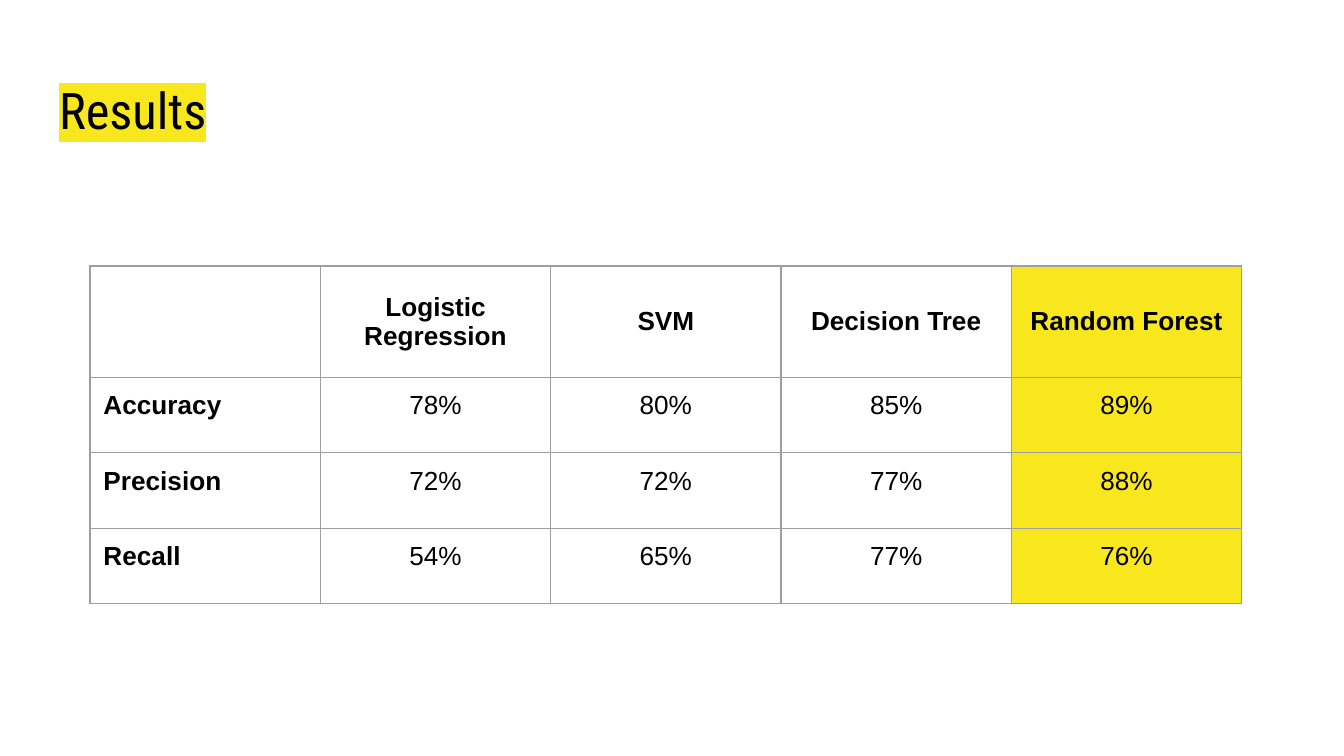
from typing import NamedTuple

from pptx import Presentation
from pptx.dml.color import RGBColor
from pptx.enum.text import MSO_ANCHOR as Anchor, MSO_AUTO_SIZE as AutoSize, PP_ALIGN as Align
from pptx.oxml import parse_xml
from pptx.oxml.ns import nsdecls
from pptx.util import Inches, Pt

BLACK, WHITE, YELLOW, GRAY = "000000", "FFFFFF", "F8E71C", "9E9E9E"
SLIDE_WIDTH = 10
SLIDE_HEIGHT = SLIDE_WIDTH * 9 / 16
TABLE_WIDTH, HEADER_HEIGHT, ROW_HEIGHT = 8.57, 0.83, 0.56
BORDER_WIDTH = Pt(0.75)


class Metric(NamedTuple):
    name: str
    scores: tuple[str, ...]


MODELS = ("Logistic Regression", "SVM", "Decision Tree", "Random Forest")
METRICS = (
    Metric("Accuracy", ("78%", "80%", "85%", "89%")),
    Metric("Precision", ("72%", "72%", "77%", "88%")),
    Metric("Recall", ("54%", "65%", "77%", "76%")),
)
BEST_COLUMN = MODELS.index("Random Forest") + 1


# Formatting helpers
def color(value: str) -> RGBColor:
    return RGBColor.from_string(value)


def style_font(font, name: str, size: float, bold: bool = False) -> None:
    font.name, font.size, font.bold = name, Pt(size), bold
    font.color.rgb = color(BLACK)


def set_margins(target) -> None:
    target.margin_left = target.margin_right = Inches(0.1)
    target.margin_top = target.margin_bottom = Inches(0.1)


def add_borders(cell) -> None:
    properties = cell._tc.get_or_add_tcPr()
    for index, side in enumerate(("lnL", "lnR", "lnT", "lnB")):
        properties.insert(index, parse_xml(
            f'<a:{side} {nsdecls("a")} w="{BORDER_WIDTH}"><a:solidFill>'
            f'<a:srgbClr val="{GRAY}"/></a:solidFill></a:{side}>'))


# Title with a highlight
def add_title(page, text: str) -> None:
    title = page.shapes.title
    title.left, title.top = Inches(0.34), Inches(0.49)
    title.width, title.height = Inches(9.32), Inches(0.63)
    frame = title.text_frame
    frame.text = text
    frame.auto_size = AutoSize.NONE
    frame.vertical_anchor = Anchor.TOP
    set_margins(frame)
    para = frame.paragraphs[0]
    para.alignment = Align.LEFT
    span = para.runs[0]
    style_font(span.font, "Roboto Condensed", 27)
    # The highlight belongs right after the text fill
    span.font._element.insert(1, parse_xml(
        f'<a:highlight {nsdecls("a")}><a:srgbClr val="{YELLOW}"/></a:highlight>'))


# Results table
def fill_cell(cell, text: str, row: int, column: int) -> None:
    cell.text_frame.text = text
    set_margins(cell)
    cell.vertical_anchor = Anchor.TOP if row else Anchor.MIDDLE
    para = cell.text_frame.paragraphs[0]
    para.alignment = Align.CENTER if column else Align.LEFT
    for span in para.runs:
        style_font(span.font, "Arial", 14, bold=row == 0 or column == 0)
    if column == BEST_COLUMN:
        cell.fill.solid()
        cell.fill.fore_color.rgb = color(YELLOW)
    else:
        cell.fill.background()
    add_borders(cell)


def add_results_table(page) -> None:
    rows = [("", *MODELS)] + [(metric.name, *metric.scores) for metric in METRICS]
    heights = [HEADER_HEIGHT] + [ROW_HEIGHT] * len(METRICS)
    column_count = len(rows[0])
    table = page.shapes.add_table(
        len(rows), column_count, Inches(0.67), Inches(1.98),
        Inches(TABLE_WIDTH), Inches(sum(heights))).table
    table.first_row = table.horz_banding = False
    for column in table.columns:
        column.width = Inches(TABLE_WIDTH / column_count)
    for row, (texts, height) in enumerate(zip(rows, heights)):
        table.rows[row].height = Inches(height)
        for column, text in enumerate(texts):
            fill_cell(table.cell(row, column), text, row, column)


def main() -> None:
    deck = Presentation()
    deck.slide_width, deck.slide_height = Inches(SLIDE_WIDTH), Inches(SLIDE_HEIGHT)
    page = deck.slides.add_slide(deck.slide_layouts[5])
    page.background.fill.solid()
    page.background.fill.fore_color.rgb = color(WHITE)
    add_title(page, "Results")
    add_results_table(page)
    deck.save("out.pptx")


if __name__ == "__main__":
    main()
